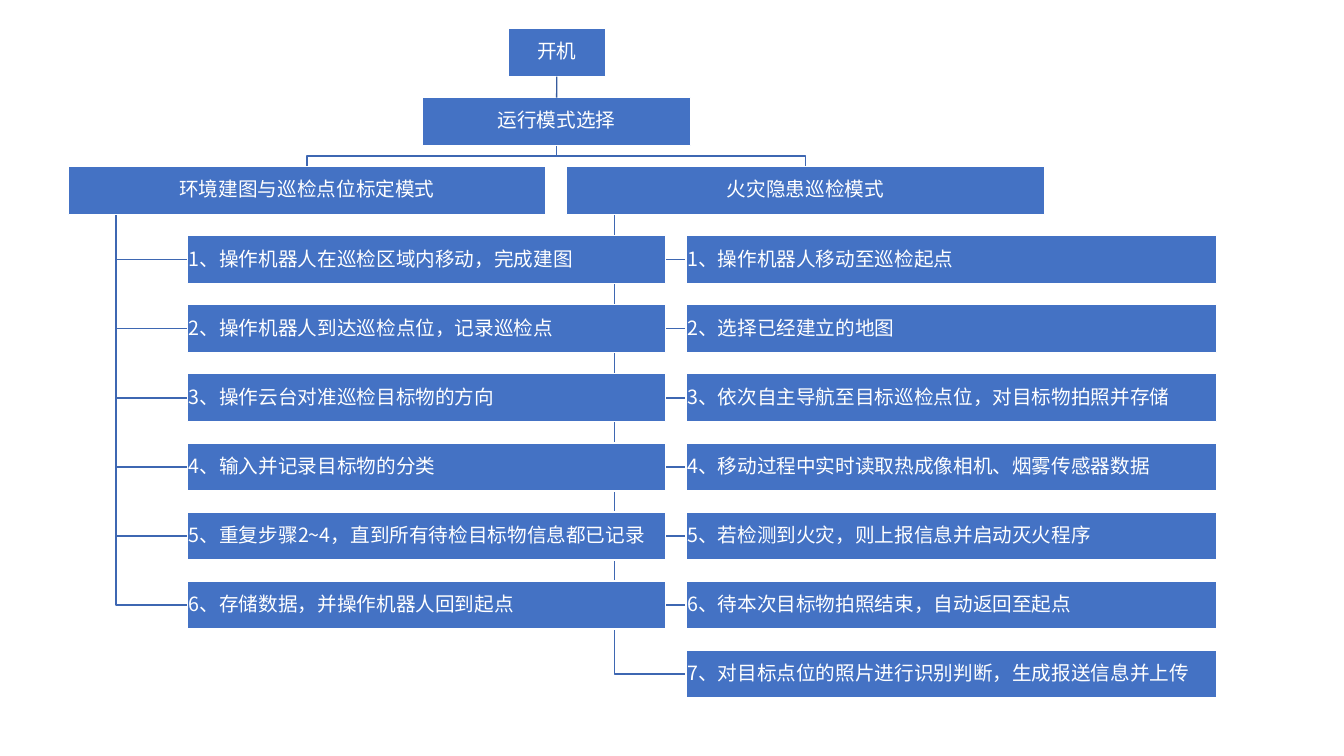
from lxml import etree
from pptx import Presentation
from pptx import util as u
from pptx.dml.color import RGBColor
from pptx.enum import shapes, text
from pptx.oxml import ns

COLORS = {"box": "4472C4", "edge": "FFFFFF", "text": "FFFFFF", "branch": "3E67B2", "stem": "365B9D"}
FONT = "Noto Sans CJK SC"
TOP, PITCH, HEIGHT = 0.72, 1.74, 1.21
CENTER = 14.03
MODE_WIDTH, HANG, INDENT = 12.04, 1.2, 3.01
MODES = [
    (1.72, 12.04, "环境建图与巡检点位标定模式", [
        "1、操作机器人在巡检区域内移动，完成建图",
        "2、操作机器人到达巡检点位，记录巡检点",
        "3、操作云台对准巡检目标物的方向",
        "4、输入并记录目标物的分类",
        "5、重复步骤2~4，直到所有待检目标物信息都已记录",
        "6、存储数据，并操作机器人回到起点",
    ]),
    (14.28, 13.37, "火灾隐患巡检模式", [
        "1、操作机器人移动至巡检起点",
        "2、选择已经建立的地图",
        "3、依次自主导航至目标巡检点位，对目标物拍照并存储",
        "4、移动过程中实时读取热成像相机、烟雾传感器数据",
        "5、若检测到火灾，则上报信息并启动灭火程序",
        "6、待本次目标物拍照结束，自动返回至起点",
        "7、对目标点位的照片进行识别判断，生成报送信息并上传",
    ]),
]

presentation = Presentation()
presentation.slide_width = u.Cm(33.87)
presentation.slide_height = u.Cm(19.05)
slide = presentation.slides.add_slide(presentation.slide_layouts[6])


def add_branch(points):
    corners = [(u.Cm(x), u.Cm(y)) for x, y in points]
    builder = slide.shapes.build_freeform(*corners[0])
    builder.add_line_segments(corners[1:], close=False)
    shape = builder.convert_to_shape()
    shape.shadow.inherit = False
    shape.fill.background()
    shape.line.color.rgb = RGBColor.from_string(COLORS["branch"])
    shape.line.width = u.Pt(1)


def add_box(left, row, width, label, alignment=text.PP_ALIGN.CENTER):
    shape = slide.shapes.add_shape(
        shapes.MSO_SHAPE.RECTANGLE, u.Cm(left), u.Cm(TOP + row * PITCH), u.Cm(width), u.Cm(HEIGHT))
    shape.shadow.inherit = False
    shape.fill.solid()
    shape.fill.fore_color.rgb = RGBColor.from_string(COLORS["box"])
    shape.line.color.rgb = RGBColor.from_string(COLORS["edge"])
    shape.line.width = u.Pt(1)
    frame = shape.text_frame
    frame.text = label
    frame.word_wrap = True
    frame.vertical_anchor = text.MSO_ANCHOR.MIDDLE
    frame.margin_left = frame.margin_right = frame.margin_top = frame.margin_bottom = u.Cm(0.03)
    paragraph = frame.paragraphs[0]
    paragraph.alignment = alignment
    paragraph.line_spacing = 0.9
    paragraph.space_after = u.Pt(5)
    run = paragraph.runs[0]
    run.font.size = u.Pt(14)
    run.font.name = FONT
    run.font.color.rgb = RGBColor.from_string(COLORS["text"])
    etree.SubElement(run._r.get_or_add_rPr(), ns.qn("a:ea")).set("typeface", FONT)
    return shape


mode_top = TOP + 2 * PITCH
choice_bottom = TOP + PITCH + HEIGHT
middle = (choice_bottom + mode_top) / 2
for left, step_width, mode, steps in MODES:
    mode_center = left + MODE_WIDTH / 2
    add_branch([(CENTER, choice_bottom), (CENTER, middle), (mode_center, middle), (mode_center, mode_top)])
    for row in range(3, 3 + len(steps)):
        step_middle = TOP + row * PITCH + HEIGHT / 2
        add_branch([(left + HANG, mode_top + HEIGHT), (left + HANG, step_middle), (left + INDENT, step_middle)])

start = add_box(CENTER - 1.23, 0, 2.46, "开机")
choice = add_box(CENTER - 3.38, 1, 6.76, "运行模式选择")
for left, step_width, mode, steps in MODES:
    add_box(left, 2, MODE_WIDTH, mode)
    for row, step in enumerate(steps, 3):
        add_box(left + INDENT, row, step_width, step, text.PP_ALIGN.LEFT)

stem = slide.shapes.add_connector(
    shapes.MSO_CONNECTOR.STRAIGHT, u.Cm(CENTER), u.Cm(TOP + HEIGHT), u.Cm(CENTER), u.Cm(TOP + PITCH))
stem.begin_connect(start, 2)
stem.end_connect(choice, 0)
stem.line.color.rgb = RGBColor.from_string(COLORS["stem"])
stem.line.width = u.Pt(1)
etree.SubElement(stem._element.spPr, ns.qn("a:effectLst"))

presentation.save("out.pptx")
